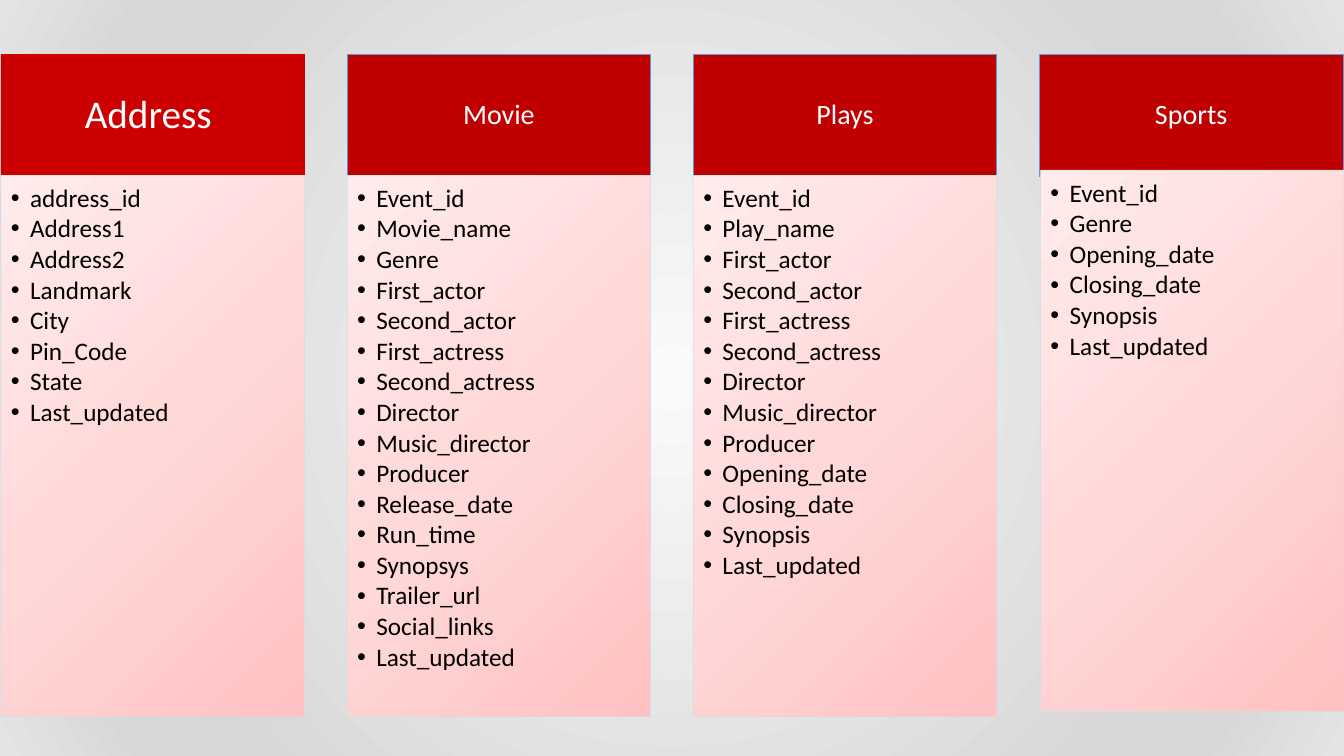
from lxml import etree
from pptx import Presentation
from pptx.dml.color import RGBColor
from pptx.enum import shapes, text
from pptx.oxml.ns import qn
from pptx.util import Inches, Pt

RED = RGBColor(0xCC, 0x00, 0x00)
DARK_RED = RGBColor(0xC0, 0x00, 0x00)
BLUE = RGBColor(0x5B, 0x9B, 0xD5)
PALE_BLUE = RGBColor(0xD2, 0xDE, 0xEF)
WHITE = RGBColor(0xFF, 0xFF, 0xFF)
BLACK = RGBColor(0x00, 0x00, 0x00)
PINKS = [(0, RGBColor(0xFF, 0xC1, 0xC1)), (50, RGBColor(0xFF, 0xD8, 0xD8)),
         (100, RGBColor(0xFF, 0xEB, 0xEB))]
GREYS = [(0, RGBColor(0xFA, 0xFA, 0xFA)), (74, RGBColor(0xD7, 0xD7, 0xD7)),
         (83, RGBColor(0xD7, 0xD7, 0xD7)), (100, RGBColor(0xE4, 0xE4, 0xE4))]
FONT = "Calibri"

# title, size, fill, line, header insets (side, top and bottom), fields
TABLES = [
    ("Address ", 28, RED, RED, (0.22, 0.12),
     ["address_id", "Address1", "Address2", "Landmark", "City", "Pin_Code",
      "State", "Last_updated"]),
    ("Movie", 20, DARK_RED, BLUE, (0.16, 0.09),
     ["Event_id", "Movie_name", "Genre", "First_actor", "Second_actor",
      "First_actress", "Second_actress", "Director", "Music_director",
      "Producer", "Release_date", "Run_time", "Synopsys", "Trailer_url",
      "Social_links", "Last_updated"]),
    ("Plays", 20, DARK_RED, BLUE, (0.16, 0.09),
     ["Event_id", "Play_name", "First_actor", "Second_actor",
      "First_actress", "Second_actress", "Director", "Music_director",
      "Producer", "Opening_date", "Closing_date", "Synopsis",
      "Last_updated"]),
    ("Sports", 20, DARK_RED, BLUE, (0.16, 0.09),
     ["Event_id", "Genre", "Opening_date", "Closing_date", "Synopsis",
      "Last_updated"]),
]

SLIDE_W, SLIDE_H = 13.33, 7.5
LEFT, TOP, COL_W = 0.01, 0.54, 3.01
HEAD_H, BODY_H, BODY_TOP = 1.21, 5.37, 1.74
PITCH = (SLIDE_W - COL_W - 2 * LEFT) / (len(TABLES) - 1)
SPORTS_SHIFT = (0.01, -0.05)
INDENT = Inches(0.19)


def radial_fill(owner, fill, stops, focus):
    """Fill with a circular gradient; focus gives left, top, right, bottom in %."""
    fill.gradient()
    grad = owner.element.find(".//" + qn("a:gradFill"))
    for child in list(grad):
        grad.remove(child)
    stop_list = etree.SubElement(grad, qn("a:gsLst"))
    for pos, color in stops:
        stop = etree.SubElement(stop_list, qn("a:gs"), pos=str(pos * 1000))
        etree.SubElement(stop, qn("a:srgbClr"), val=str(color))
    circle = etree.SubElement(grad, qn("a:path"), path="circle")
    etree.SubElement(circle, qn("a:fillToRect"),
                     {side: str(v * 1000) for side, v in zip("ltrb", focus)})


def add_box(s, x, y, h, line, insets, anchor):
    sp = s.shapes.add_shape(shapes.MSO_SHAPE.RECTANGLE, Inches(x), Inches(y),
                            Inches(COL_W), Inches(h))
    sp.shadow.inherit = False
    sp.line.color.rgb = line
    sp.line.width = Pt(0.5)
    tf = sp.text_frame
    tf.word_wrap = True
    tf.vertical_anchor = anchor
    (tf.margin_left, tf.margin_top,
     tf.margin_right, tf.margin_bottom) = map(Inches, insets)
    return sp


def style(p, size, color, align, after):
    p.alignment = align
    p.line_spacing = 0.9
    p.space_after = Pt(after)
    for r in p.runs:
        r.font.name = FONT
        r.font.size = Pt(size)
        r.font.color.rgb = color


def add_header(s, x, title, size, fill, line, insets):
    sp = add_box(s, x, TOP, HEAD_H, line, insets * 2, text.MSO_ANCHOR.MIDDLE)
    sp.fill.solid()
    sp.fill.fore_color.rgb = fill
    sp.text_frame.text = title
    style(sp.text_frame.paragraphs[0], size, WHITE, text.PP_ALIGN.CENTER, 0)


def add_fields(s, x, y, fields):
    sp = add_box(s, x, y, BODY_H, PALE_BLUE, (0.1, 0.1, 0.14, 0.16),
                 text.MSO_ANCHOR.TOP)
    radial_fill(sp, sp.fill, PINKS, (100, 100, 0, 0))
    line_color = sp.line._ln.find(".//" + qn("a:srgbClr"))
    etree.SubElement(line_color, qn("a:alpha"), val="90000")
    tf = sp.text_frame
    tf.text = "\n".join(fields)
    for p in tf.paragraphs:
        p.level = 1
        pPr = p._p.get_or_add_pPr()
        pPr.set("marL", str(INDENT))
        pPr.set("indent", str(-INDENT))
        etree.SubElement(pPr, qn("a:buFont"), typeface="Arial")
        etree.SubElement(pPr, qn("a:buChar"), char="•")
        style(p, 18, BLACK, text.PP_ALIGN.LEFT, 2.4)


def main():
    prs = Presentation()
    prs.slide_width, prs.slide_height = Inches(SLIDE_W), Inches(SLIDE_H)
    s = prs.slides.add_slide(prs.slide_layouts[6])
    radial_fill(s, s.background.fill, GREYS, (50, 50, 50, 50))
    for i, (title, size, fill, line, insets, fields) in enumerate(TABLES):
        x = LEFT + i * PITCH
        dx, dy = SPORTS_SHIFT if title == "Sports" else (0, 0)
        add_header(s, x, title, size, fill, line, insets)
        add_fields(s, x + dx, BODY_TOP + dy, fields)
    prs.save("out.pptx")


if __name__ == "__main__":
    main()
